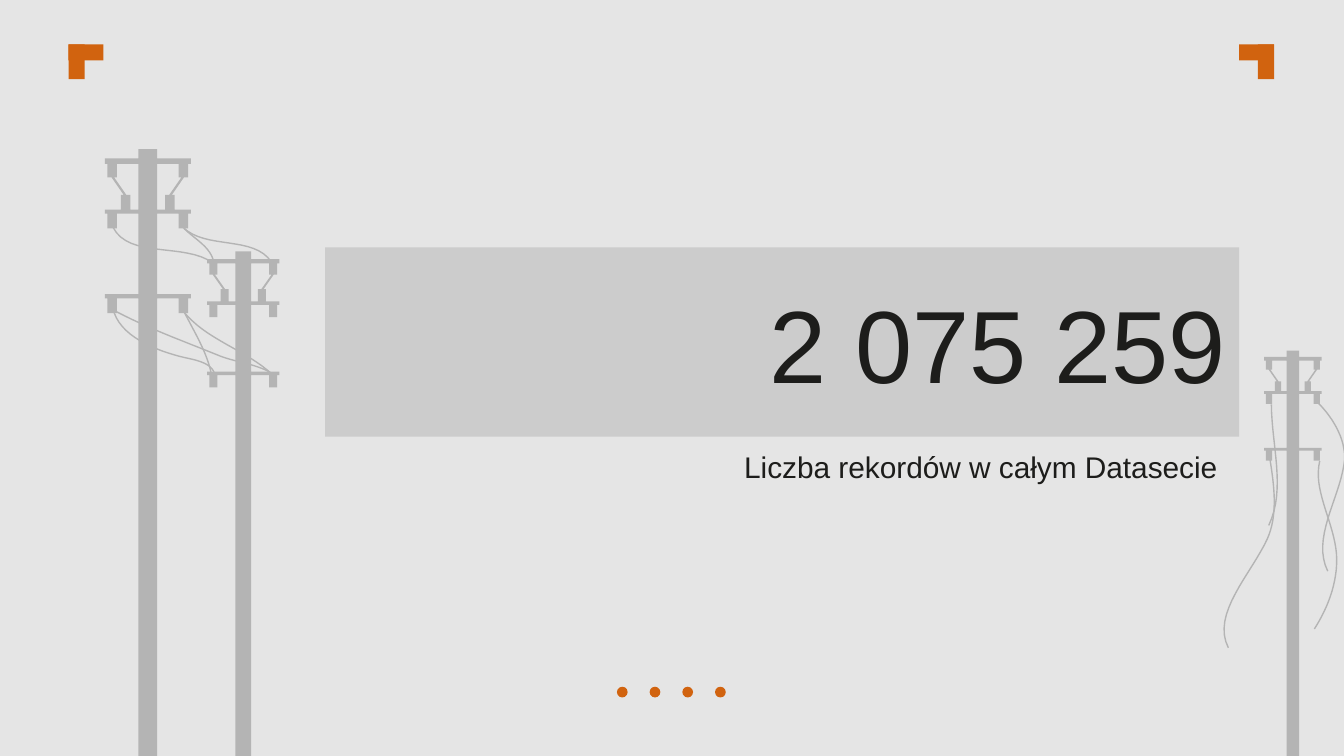
from typing import NamedTuple

from pptx import Presentation
from pptx import util as u
from pptx.dml.color import RGBColor
from pptx.enum import shapes, text
from pptx.util import Inches

BACKGROUND = RGBColor(0xE5, 0xE5, 0xE5)
ORANGE = RGBColor(0xD1, 0x63, 0x0F)
PANEL_GREY = RGBColor(0xCC, 0xCC, 0xCC)
POLE_GREY = RGBColor(0xB4, 0xB4, 0xB4)
INK = RGBColor(0x1D, 0x1D, 0x1B)
WIDTH = 10
HEIGHT = WIDTH * 9 / 16

Point = tuple[float, float]


class Pole(NamedTuple):
    center: float
    top: float
    scale_x: float
    scale_y: float


class Wire(NamedTuple):
    """Start point, then two control points and an end point per curve."""
    points: list[Point]


# Right half of a full-size pole, measured from its axis and top
HALF_OUTLINE: list[Point] = [
    (0.07, 0), (0.07, 0.07), (0.32, 0.07), (0.32, 0.11), (0.30, 0.11),
    (0.30, 0.21), (0.27, 0.21), (0.18, 0.34), (0.20, 0.34), (0.20, 0.45),
    (0.32, 0.45), (0.32, 0.48), (0.30, 0.48), (0.30, 0.59), (0.23, 0.59),
    (0.23, 0.48), (0.07, 0.48), (0.07, 1.08), (0.32, 1.08), (0.32, 1.11),
    (0.30, 1.11), (0.30, 1.22), (0.23, 1.22), (0.23, 1.11), (0.07, 1.11)]
HALF_HOLE: list[Point] = [
    (0.07, 0.45), (0.13, 0.45), (0.13, 0.34), (0.16, 0.34),
    (0.25, 0.21), (0.23, 0.21), (0.23, 0.11), (0.07, 0.11)]

RIGHT_POLE = Pole(9.62, 2.61, 0.67, 0.67)
LEFT_POLES = [Pole(1.81, 1.87, 0.84, 0.83), Pole(1.10, 1.11, 1, 1)]

LOOSE_WIRES = [
    Wire([(9.45, 3.42), (9.48, 3.61), (9.51, 3.83), (9.43, 4.01),
          (9.31, 4.27), (9.01, 4.57), (9.14, 4.82)]),
    Wire([(9.81, 3), (9.93, 3.12), (10.03, 3.3), (10, 3.46),
          (9.96, 3.72), (9.76, 4.01), (9.88, 4.25)]),
    Wire([(9.46, 3.01), (9.46, 3.31), (9.57, 3.64), (9.44, 3.91)]),
    Wire([(9.82, 3.43), (9.77, 3.64), (9.91, 3.86), (9.94, 4.08),
          (9.97, 4.29), (9.89, 4.51), (9.78, 4.68)])]
JOINING_WIRES = [
    Wire([(0.84, 2.29), (0.88, 2.5), (1.16, 2.61), (1.37, 2.66),
          (1.46, 2.68), (1.58, 2.7), (1.6, 2.79)]),
    Wire([(0.83, 2.3), (1.09, 2.44), (1.37, 2.54), (1.64, 2.65),
          (1.77, 2.7), (1.93, 2.71), (2.04, 2.79)]),
    Wire([(1.37, 2.32), (1.45, 2.48), (1.56, 2.65), (1.58, 2.83)]),
    Wire([(1.36, 2.31), (1.53, 2.53), (1.83, 2.6), (2.03, 2.79)]),
    Wire([(0.84, 1.69), (0.96, 1.93), (1.37, 1.8), (1.59, 1.96)]),
    Wire([(1.37, 1.7), (1.45, 1.78), (1.57, 1.84), (1.59, 1.95)]),
    Wire([(1.36, 1.69), (1.53, 1.86), (1.89, 1.75), (2.02, 1.95)])]


def to_emu(points: list[Point]) -> list[tuple[int, int]]:
    return [(Inches(x), Inches(y)) for x, y in points]


def mirror(points: list[Point]) -> list[Point]:
    return [(-x, y) for x, y in reversed(points)]


def paint(shape, color: RGBColor) -> None:
    shape.shadow.inherit = False
    shape.fill.solid()
    shape.fill.fore_color.rgb = color
    shape.line.fill.background()


def draw_shape(page, kind, left: float, top: float, width: float,
               height: float, color: RGBColor):
    shape = page.shapes.add_shape(
        kind, Inches(left), Inches(top), Inches(width), Inches(height))
    paint(shape, color)
    return shape


def draw_pole(page, pole: Pole) -> None:
    base = (0.07, (HEIGHT - pole.top) / pole.scale_y)
    half = HALF_OUTLINE + [base]
    contours = [half + mirror(half), HALF_HOLE, mirror(HALF_HOLE)]
    placed = [to_emu([(pole.center + x * pole.scale_x,
                       pole.top + y * pole.scale_y) for x, y in contour])
              for contour in contours]
    builder = page.shapes.build_freeform(*placed[0][0])
    builder.add_line_segments(placed[0][1:], close=True)
    for hole in placed[1:]:
        builder.move_to(*hole[0])
        builder.add_line_segments(hole[1:], close=True)
    paint(builder.convert_to_shape(), POLE_GREY)


def curve_point(a: Point, b: Point, c: Point, d: Point, t: float) -> Point:
    s = 1 - t
    weights = (s ** 3, 3 * s * s * t, 3 * s * t * t, t ** 3)
    return (sum(w * p[0] for w, p in zip(weights, (a, b, c, d))),
            sum(w * p[1] for w, p in zip(weights, (a, b, c, d))))


def draw_wire(page, wire: Wire, steps: int = 16) -> None:
    points = wire.points
    curve = [curve_point(*points[i:i + 4], step / steps)
             for i in range(0, len(points) - 1, 3)
             for step in range(1, steps + 1)]
    builder = page.shapes.build_freeform(*to_emu(points[:1])[0])
    builder.add_line_segments(to_emu(curve), close=False)
    shape = builder.convert_to_shape()
    shape.shadow.inherit = False
    shape.fill.background()
    shape.line.color.rgb = POLE_GREY
    shape.line.width = u.Pt(0.75)


def write(box, words: str, size: float, anchor) -> None:
    frame = box.text_frame
    frame.text = words
    frame.word_wrap = True
    frame.vertical_anchor = anchor
    frame.margin_left = frame.margin_right = Inches(0.1)
    frame.margin_top = frame.margin_bottom = Inches(0.1)
    para = frame.paragraphs[0]
    para.alignment = text.PP_ALIGN.RIGHT
    font = para.runs[0].font
    font.name, font.size = "Arial", u.Pt(size)
    font.color.rgb = INK


def main() -> None:
    deck = Presentation()
    deck.slide_width, deck.slide_height = Inches(WIDTH), Inches(HEIGHT)
    page = deck.slides.add_slide(deck.slide_layouts[6])
    page.background.fill.solid()
    page.background.fill.fore_color.rgb = BACKGROUND
    rectangle = shapes.MSO_SHAPE.RECTANGLE

    # Corner marks: an upright and a crossbar each
    for upright, crossbar in ((9.36, 9.22), (0.51, 0.51)):
        draw_shape(page, rectangle, upright, 0.33, 0.12, 0.26, ORANGE)
        draw_shape(page, rectangle, crossbar, 0.33, 0.26, 0.12, ORANGE)

    # Row of dots
    first, last, count = 4.59, 5.32, 4
    for i in range(count):
        left = first + i * (last - first) / (count - 1)
        draw_shape(page, shapes.MSO_SHAPE.OVAL, left, 5.11, 0.08, 0.08, ORANGE)

    # Right pole with loose wires
    draw_pole(page, RIGHT_POLE)
    for wire in LOOSE_WIRES:
        draw_wire(page, wire)

    # Big number and caption
    panel = draw_shape(page, rectangle, 2.42, 1.84, 6.8, 1.41, PANEL_GREY)
    write(panel, "2 075 259", 55, text.MSO_ANCHOR.MIDDLE)
    caption = page.shapes.add_textbox(
        Inches(2.42), Inches(3.24), Inches(6.8), Inches(0.45))
    write(caption, "Liczba rekordów w całym Datasecie ", 16,
          text.MSO_ANCHOR.TOP)

    # Left poles and the wires between them
    for pole in LEFT_POLES:
        draw_pole(page, pole)
    for wire in JOINING_WIRES:
        draw_wire(page, wire)

    deck.save("out.pptx")


if __name__ == "__main__":
    main()
